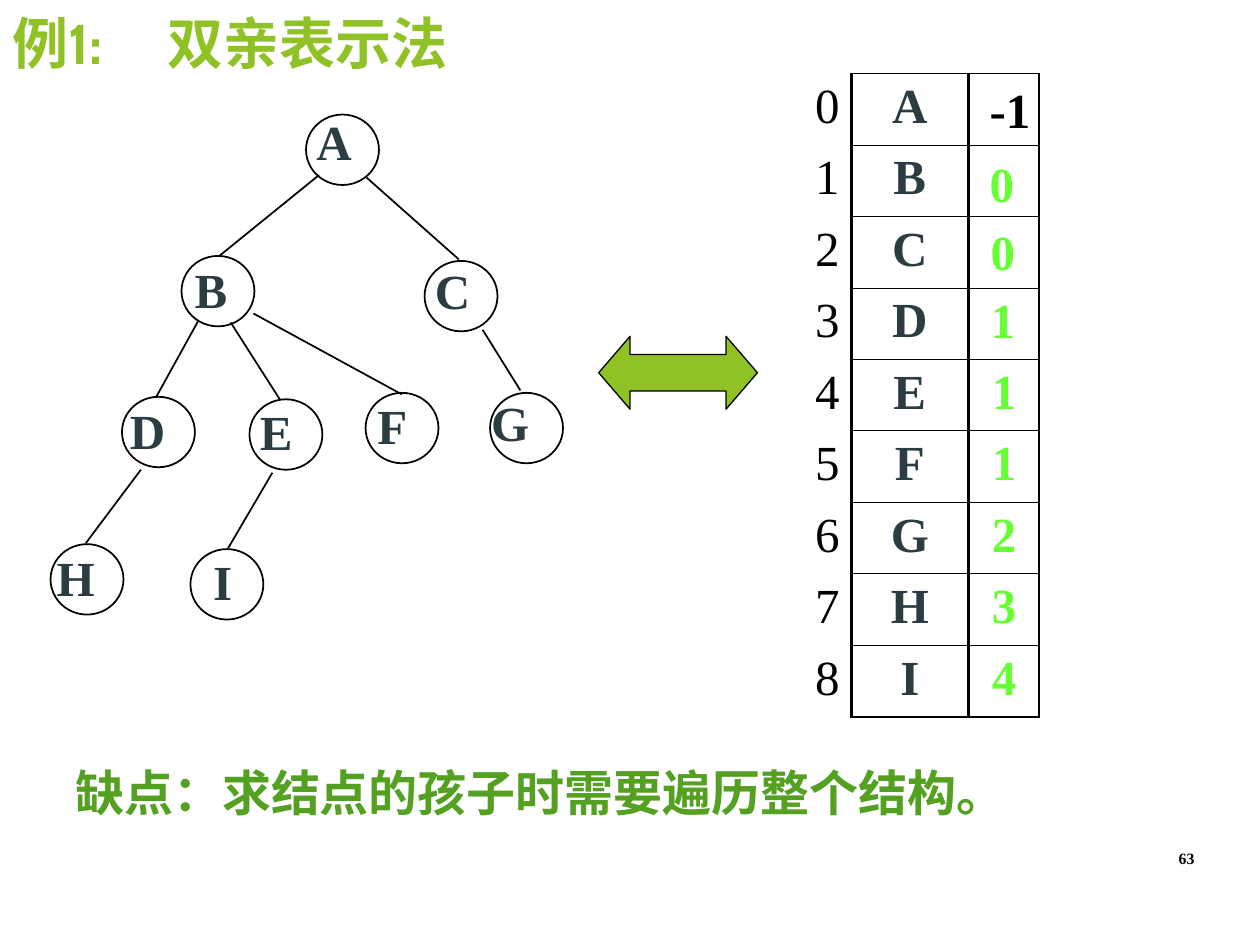
from pptx import Presentation
from pptx.dml.color import RGBColor
from pptx.enum.shapes import MSO_CONNECTOR as CONN, MSO_SHAPE as SHAPE
from pptx.enum.text import MSO_ANCHOR as ANCHOR, PP_ALIGN as ALIGN
from pptx.oxml import parse_xml
from pptx.oxml.ns import nsdecls, qn
from pptx.util import Cm, Pt
from lxml.etree import SubElement

COLORS = {"black": "000000", "slate": "2C3C43", "lime": "90C226",
          "green": "54A021", "bright": "66FF33"}
SERIF = "Times New Roman"
LETTERS = "ABCDEFGHI"
NODE_W, NODE_H = 1.47, 1.42
TEXT_H = 1.45
THIN, THICK = 0.45, 1.08

NODES = {
    "A": (5.17, 0.31, -0.05, -0.18, 1.22),
    "B": (2.66, 3.16, 0, -0.05, 1.17),
    "C": (7.56, 3.26, -0.05, -0.13, 1.22),
    "D": (1.46, 6.0, -0.1, -0.05, 1.22),
    "E": (4.03, 6.05, -0.05, -0.08, 1.17),
    "F": (6.37, 5.92, -0.03, -0.08, 1.12),
    "G": (8.88, 5.92, -0.23, -0.13, 1.27),
    "H": (0.02, 8.97, -0.13, -0.05, 1.27),
    "I": (2.84, 9.07, 0.2, -0.08, 0.89),
}
EDGES = {
    "AB": (5.43, 1.53, 3.42, 3.16),
    "AC": (6.39, 1.58, 8.25, 3.23),
    "BD": (2.99, 4.48, 2.15, 6.0),
    "BE": (3.65, 4.5, 4.64, 6.05),
    "BF": (4.11, 4.32, 7.1, 5.95),
    "CG": (8.73, 4.65, 9.49, 5.87),
    "DH": (1.84, 7.47, 0.73, 8.95),
    "EI": (4.49, 7.53, 3.6, 9.05),
}
PARENT_LABELS = [("-1", "black", 4.88, 0, 1.4), ("0", "bright", 4.88, 1.5, 1),
                 ("0", "bright", 4.9, 2.86, 1), ("1", "bright", 4.9, 4.24, 1)]


def rgb(name):
    return RGBColor.from_string(COLORS[name])


def style(p, size, color, font=SERIF, bold=True, align=ALIGN.LEFT):
    p.alignment = align
    p.font.size = Pt(size)
    p.font.bold = bold
    p.font.name = font
    p.font.color.rgb = rgb(color)


def add_text(shapes, box, text, size, color, wrap=False, anchor=ANCHOR.TOP, **look):
    tf = shapes.add_textbox(*map(Cm, box)).text_frame
    tf.word_wrap = wrap
    tf.vertical_anchor = anchor
    p = tf.paragraphs[0]
    p.text = text
    style(p, size, color, **look)
    return p


def add_title(s, box):
    p = add_text(s.shapes, box, "", 32, "lime", True, ANCHOR.MIDDLE, font="Cabin")
    tabs = parse_xml(f'<a:tabLst {nsdecls("a")}><a:tab pos="{Cm(3.12)}" algn="l"/></a:tabLst>')
    p._p.pPr.insert(0, tabs)
    p.add_run().text = "例1:\t"
    r = p.add_run()
    r.text = "双亲表示法"
    r.font.name = "Noto Sans CJK SC"
    SubElement(r._r.rPr, qn("a:ea"), typeface="Noto Sans CJK SC")


def add_tree(s, left, top):
    shapes = s.shapes.add_group_shape().shapes
    for letter, (x, y, dx, dy, w) in NODES.items():
        x, y = left + x, top + y
        node = shapes.add_shape(SHAPE.OVAL, Cm(x), Cm(y), Cm(NODE_W), Cm(NODE_H))
        node.shadow.inherit = False
        node.fill.background()
        node.line.color.rgb = rgb("black")
        node.line.width = Pt(1)
        add_text(shapes, (x + dx, y + dy, w, TEXT_H), letter, 28, "slate",
                 align=ALIGN.RIGHT)
    for x1, y1, x2, y2 in EDGES.values():
        edge = shapes.add_connector(CONN.STRAIGHT, Cm(left + x1), Cm(top + y1),
                                    Cm(left + x2), Cm(top + y2))
        edge.line.color.rgb = rgb("black")
        edge.line.width = Pt(1)
        SubElement(edge._element.spPr, qn("a:effectLst"))


def set_borders(cell, widths):
    tc_pr = cell._tc.get_or_add_tcPr()
    for i, (side, width) in enumerate(zip("LRTB", widths)):
        fill = (f'<a:solidFill><a:srgbClr val="{COLORS["black"]}"/></a:solidFill>'
                if width else "<a:noFill/>")
        tc_pr.insert(i, parse_xml(
            f'<a:ln{side} {nsdecls("a")} w="{Pt(width)}">{fill}</a:ln{side}>'))


def add_grid(s, left, top, widths, height, texts, borders, **look):
    rows = len(texts)
    table = s.shapes.add_table(rows, len(widths), Cm(left), Cm(top),
                               Cm(sum(widths)), Cm(height)).table
    table.first_row = table.horz_banding = False
    for column, width in zip(table.columns, widths):
        column.width = Cm(width)
    for i, text in enumerate(texts):
        table.rows[i].height = Cm(height / rows)
        for j, (edge_l, edge_r, outer) in enumerate(borders):
            cell = table.cell(i, j)
            cell.fill.background()
            inner = THIN if outer else 0
            set_borders(cell, (edge_l, edge_r, outer if i == 0 else inner,
                               outer if i == rows - 1 else inner))
        cell = table.cell(i, 0)
        cell.text = text
        style(cell.text_frame.paragraphs[0], 28, **look)


def add_parent_array(s, left, top, height):
    add_grid(s, left, top, (2.36, 2.36, 1.4), height,
             [str(i) for i in range(len(LETTERS))],
             [(0, THIN, 0), (THIN, THIN, THICK), (THIN, THICK, THICK)],
             color="black", bold=False, align=ALIGN.RIGHT)
    framed = [(THICK, THICK, THICK)]
    add_grid(s, left + 4.72, top, (1.4,), height, [""] * 4 + list("11234"), framed,
             color="bright", align=ALIGN.CENTER)
    add_grid(s, left + 2.34, top, (2.36,), height, LETTERS, framed,
             color="slate", align=ALIGN.CENTER)
    for text, color, x, y, w in PARENT_LABELS:
        add_text(s.shapes, (left + x, top + y, w, TEXT_H), text, 28, color)


def add_arrow(s, box):
    sp = s.shapes.add_shape(SHAPE.LEFT_RIGHT_ARROW, *map(Cm, box))
    sp.shadow.inherit = False
    sp.adjustments[0], sp.adjustments[1] = 0.5, 0.43
    sp.fill.solid()
    sp.fill.fore_color.rgb = rgb("lime")
    sp.line.color.rgb = rgb("black")
    sp.line.width = Pt(0.75)


def main():
    prs = Presentation()
    prs.slide_width, prs.slide_height = Cm(25.4), Cm(19.05)
    s = prs.slides.add_slide(prs.slide_layouts[6])
    add_text(s.shapes, (22.91, 16.79, 1.42, 1.02), "63", 9, "black", True,
             ANCHOR.MIDDLE, align=ALIGN.RIGHT)
    add_tree(s, 1, 2)
    add_text(s.shapes, (1.27, 15.24, 19.48, TEXT_H),
             "缺点：求结点的孩子时需要遍历整个结构。", 28, "green", True, font="Arial")
    add_arrow(s, (12.07, 6.78, 3.2, 1.47))
    add_parent_array(s, 14.82, 1.48, 12.95)
    add_title(s, (0, 0, 10.16, 1.7))
    prs.save("out.pptx")


if __name__ == "__main__":
    main()
